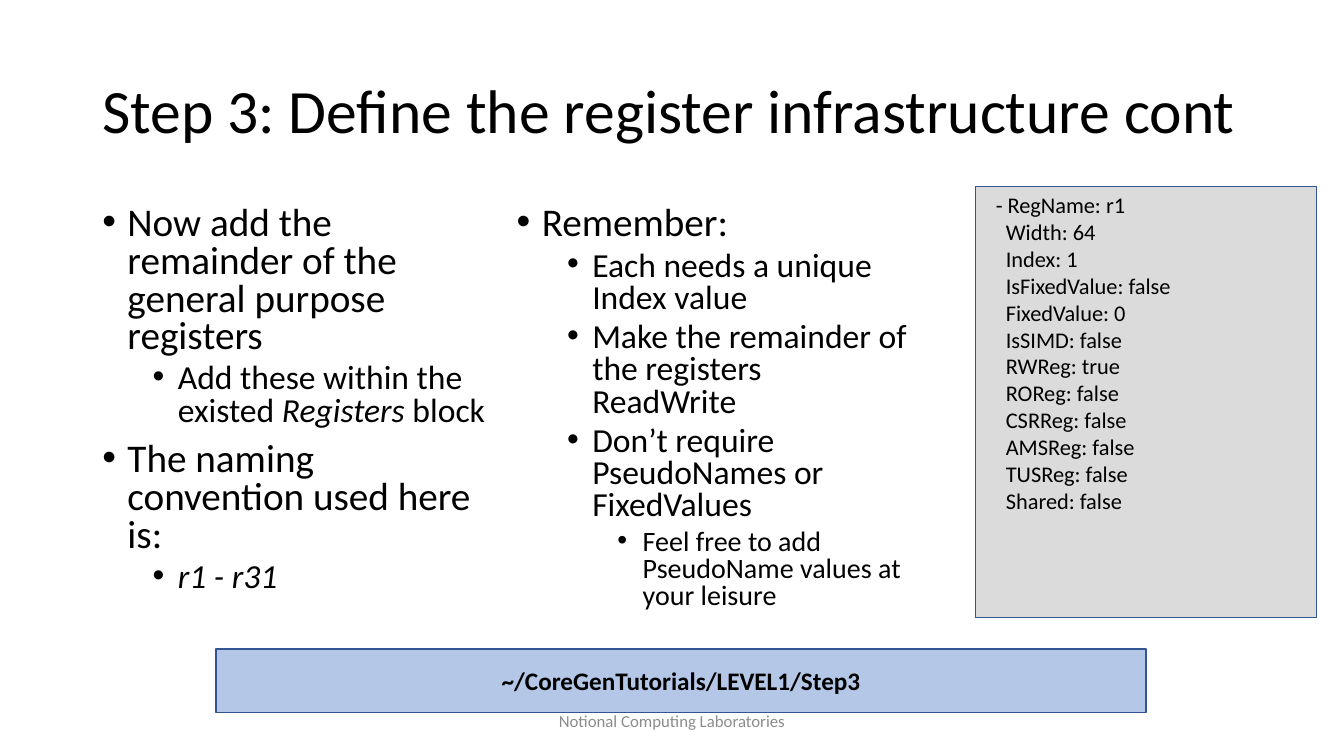
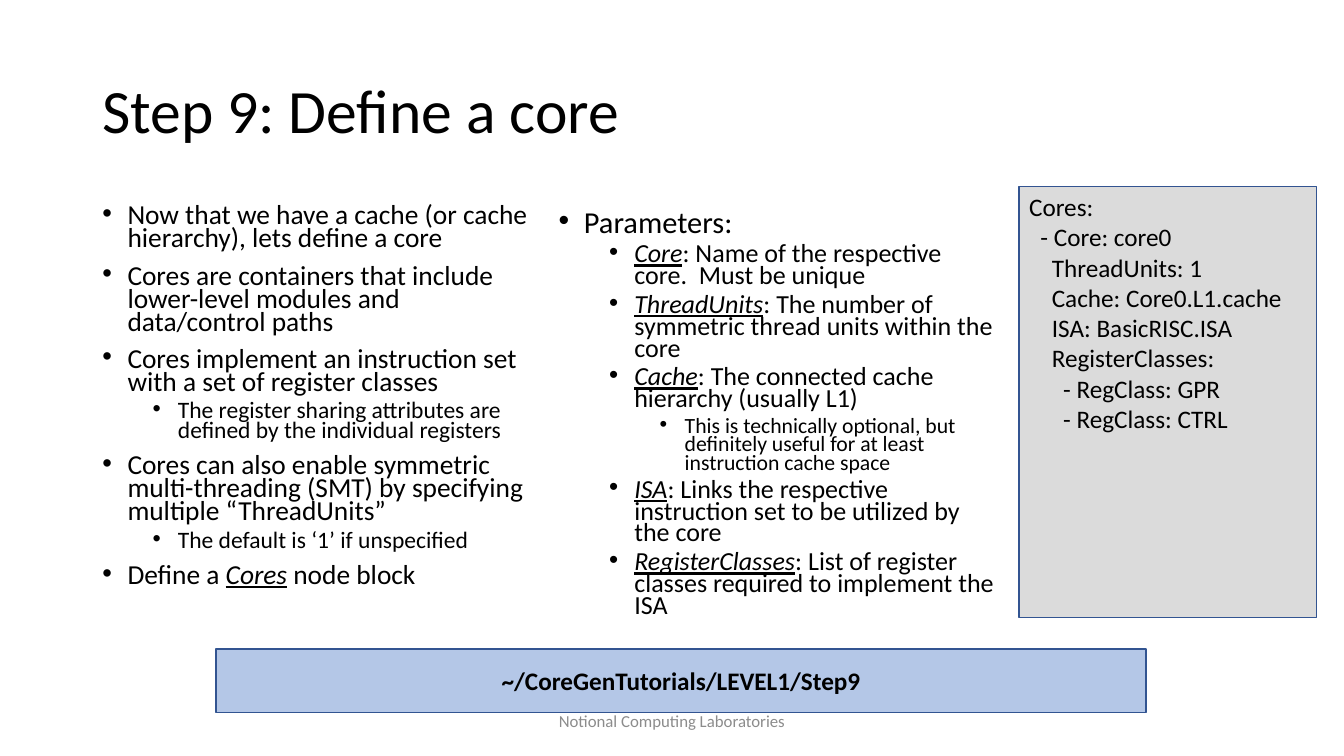
import pptx
import pptx.dml.color
import pptx.enum.shapes
import pptx.enum.text
import pptx.oxml.ns
import pptx.util
import lxml.etree

Pt = pptx.util.Pt
ALIGN = pptx.enum.text.PP_ALIGN
ANCHOR = pptx.enum.text.MSO_ANCHOR
BLACK, GREY, BLUE, SILVER, NAVY = "000000", "8C8C8C", "B4C7E7", "DBDBDB", "325491"
TOP, MIDDLE = ANCHOR.TOP, ANCHOR.MIDDLE
LEFT, CENTER = ALIGN.LEFT, ALIGN.CENTER


def color(value):
    return pptx.dml.color.RGBColor.from_string(value)


def add_text(page, place, lines, sizes, anchor=TOP, align=LEFT, ink=BLACK,
             bold=False, fill=None, spacing=1.0, bullets=False, underline=False):
    place = [Pt(length) for length in place]
    if fill:
        box = page.shapes.add_shape(pptx.enum.shapes.MSO_SHAPE.RECTANGLE, *place)
        box.shadow.inherit = False
        box.fill.solid()
        box.fill.fore_color.rgb = color(fill)
        box.line.color.rgb = color(NAVY)
        box.line.width = Pt(1)
    else:
        box = page.shapes.add_textbox(*place)
    frame = box.text_frame
    frame.word_wrap = True
    frame.vertical_anchor = anchor
    for number, (level, text) in enumerate(lines):
        para = frame.paragraphs[0] if number == 0 else frame.add_paragraph()
        if bullets:
            properties = para._p.get_or_add_pPr()
            properties.set("marL", str(Pt(18 + 36 * level)))
            properties.set("indent", str(Pt(-18)))
            for tag, key, value in (("a:buFont", "typeface", "Arial"), ("a:buChar", "char", "•")):
                lxml.etree.SubElement(properties, pptx.oxml.ns.qn(tag)).set(key, value)
            if number:
                para.space_before = Pt(5 if level else 10)
        layout = {"level": level, "alignment": align, "line_spacing": spacing}
        for name, value in layout.items():
            setattr(para, name, value)
        for part, words in enumerate(text.split("|")):
            if not words:
                continue
            span = para.add_run()
            span.text = words
            marked = part % 2 == 1
            style = {"name": "Calibri", "size": Pt(sizes[level]), "bold": bold,
                     "italic": marked, "underline": marked and underline}
            for name, value in style.items():
                setattr(span.font, name, value)
            span.font.color.rgb = color(ink)


deck = pptx.Presentation()
deck.slide_width, deck.slide_height = Pt(960), Pt(540)

slides = [
    {
        "title": "Step 3: Define the register infrastructure cont",
        "folder": "~/CoreGenTutorials/LEVEL1/Step3",
        "spacing": 0.8,
        "underline": False,
        "columns": [
            ((66, 144, 296, 311), (28, 24), [
                (0, "Now add the remainder of the general purpose registers"),
                (1, "Add these within the existed |Registers |block"),
                (0, "The naming convention used here is:"),
                (1, "|r1 - r31|"),
            ]),
            ((362, 144, 296, 311), (28, 24, 20), [
                (0, "Remember:"),
                (1, "Each needs a unique Index value"),
                (1, "Make the remainder of the registers ReadWrite"),
                (1, "Don’t require PseudoNames or FixedValues"),
                (2, "Feel free to add PseudoName values at your leisure"),
            ]),
        ],
        "code_left": 697,
        "code_size": 16,
        "code": """\
  - RegName: r1
    Width: 64
    Index: 1
    IsFixedValue: false
    FixedValue: 0
    IsSIMD: false
    RWReg: true
    ROReg: false
    CSRReg: false
    AMSReg: false
    TUSReg: false
    Shared: false""",
    },
    {
        "title": "Step 9: Define a core",
        "folder": "~/CoreGenTutorials/LEVEL1/Step9",
        "spacing": 0.7,
        "underline": True,
        "columns": [
            ((66, 144, 326, 311), (19.6, 16.8), [
                (0, "Now that we have a cache (or cache hierarchy), lets define a core"),
                (0, "Cores are containers that include lower-level modules and data/control paths"),
                (0, "Cores implement an instruction set with a set of register classes"),
                (1, "The register sharing attributes are defined by the individual registers"),
                (0, "Cores can also enable symmetric multi-threading (SMT) by specifying "
                    "multiple “ThreadUnits”"),
                (1, "The default is ‘1’ if unspecified"),
                (0, "Define a |Cores| node block"),
            ]),
            ((392, 148.3, 326, 311), (21.7, 18.6, 15.5), [
                (0, "Parameters:"),
                (1, "|Core|: Name of the respective core.  Must be unique"),
                (1, "|ThreadUnits|: The number of symmetric thread units within the core"),
                (1, "|Cache|: The connected cache hierarchy (usually L1)"),
                (2, "This is technically optional, but definitely useful for at least "
                    "instruction cache space"),
                (1, "|ISA|: Links the respective instruction set to be utilized by the core"),
                (1, "|RegisterClasses|: List of register classes required to implement the ISA"),
            ]),
        ],
        "code_left": 728,
        "code_size": 18,
        "code": """\
Cores:
  - Core: core0
    ThreadUnits: 1
    Cache: Core0.L1.cache
    ISA: BasicRISC.ISA
    RegisterClasses:
      - RegClass: GPR
      - RegClass: CTRL""",
    },
]

CODE_RIGHT = 940.5

for content in slides:
    page = deck.slides.add_slide(deck.slide_layouts[6])
    add_text(page, (66, 28.75, 828, 104.4), [(0, content["title"])], [44],
             anchor=MIDDLE, spacing=0.9)
    add_text(page, (318, 500.5, 324, 28.75), [(0, "Notional Computing Laboratories")], [12],
             anchor=MIDDLE, align=CENTER, ink=GREY)
    add_text(page, (154.3, 463.7, 664.4, 45.4), [(0, content["folder"])], [18],
             anchor=MIDDLE, align=CENTER, bold=True, fill=BLUE)
    for place, sizes, lines in content["columns"]:
        add_text(page, place, lines, sizes, spacing=content["spacing"],
                 bullets=True, underline=content["underline"])
    left = content["code_left"]
    add_text(page, (left, 133.2, CODE_RIGHT - left, 308),
             [(0, line) for line in content["code"].split("\n")],
             [content["code_size"]], fill=SILVER)

deck.save("out.pptx")
